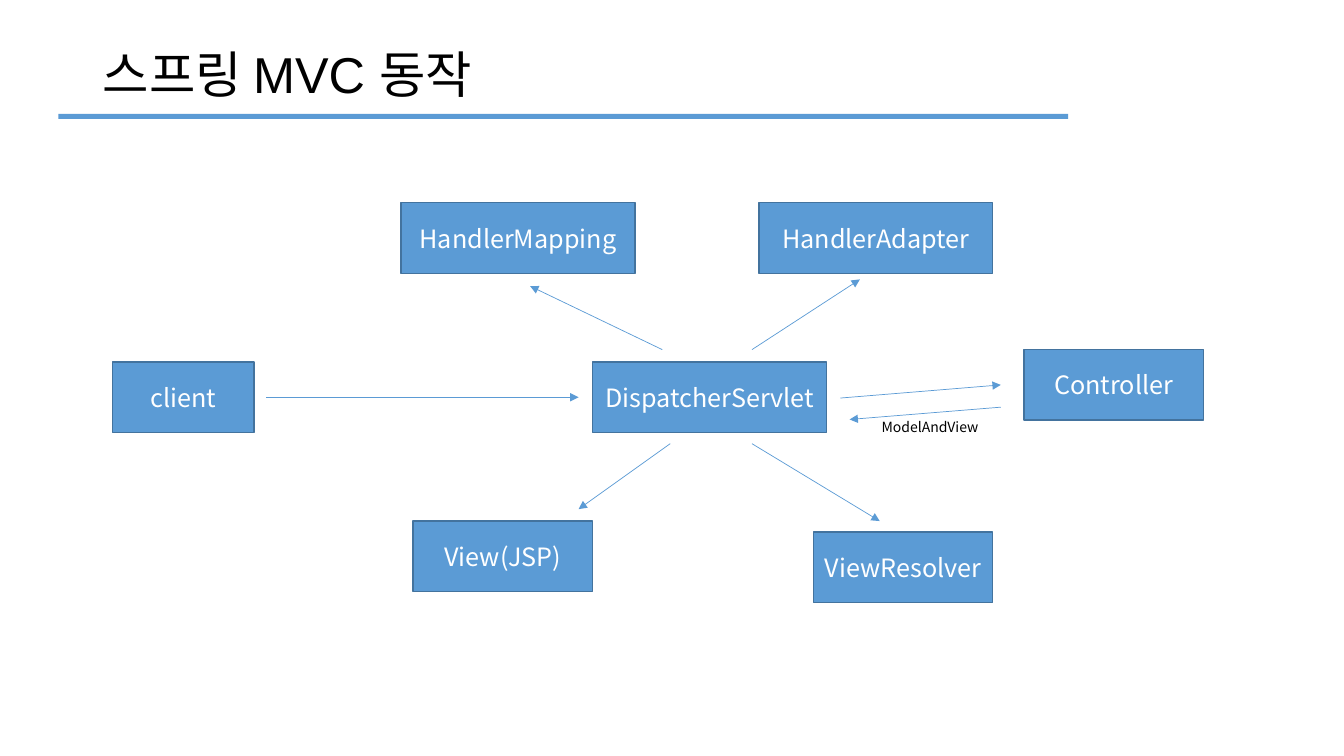
"""Draw the request flow of Spring MVC on one slide."""
from lxml.etree import SubElement
from pptx import Presentation
from pptx.dml.color import RGBColor
from pptx.enum.shapes import MSO_CONNECTOR, MSO_SHAPE
from pptx.enum.text import MSO_ANCHOR, PP_ALIGN
from pptx.oxml.ns import qn
from pptx.util import Cm, Pt

BLUE = RGBColor(0x5B, 0x9B, 0xD5)
NAVY = RGBColor(0x43, 0x73, 0x9E)
WHITE = RGBColor(0xFF, 0xFF, 0xFF)
BLACK = RGBColor(0x00, 0x00, 0x00)
SANS = "Noto Sans CJK KR"
HIGH = 1.78
SMALL, MID, WIDE = 3.56, 4.52, 5.89

BOXES = [
    ("client", 2.84, 9.12, SMALL),
    ("DispatcherServlet", 14.94, 9.12, WIDE),
    ("HandlerMapping", 10.11, 5.11, WIDE),
    ("HandlerAdapter", 19.13, 5.11, WIDE),
    ("Controller", 25.81, 8.81, MID),
    ("ViewResolver", 20.5, 13.41, MID),
    ("View(JSP)", 10.41, 13.13, MID),
]
ARROWS = [
    (6.71, 10.01, 14.58, 10.01),
    (16.69, 8.81, 13.36, 7.21),
    (18.95, 8.81, 21.67, 7.04),
    (21.18, 10.03, 25.22, 9.7),
    (18.95, 11.18, 22.17, 13.13),
    (16.89, 11.18, 14.58, 12.83),
    (25.22, 10.26, 21.41, 10.57),
]


class Flow:
    def __init__(self, slide):
        self.shapes = slide.shapes
        self.fill = BLUE
        self.edge = NAVY

    def words(self, frame, text, size, color, face=SANS):
        frame.text = text
        frame.word_wrap = True
        run = frame.paragraphs[0].runs[0]
        run.font.size, run.font.name = Pt(size), face
        run.font.color.rgb = color
        SubElement(run._r.get_or_add_rPr(), qn("a:ea")).set("typeface", SANS)

    def rect(self, left, top, width, height):
        shape = self.shapes.add_shape(
            MSO_SHAPE.RECTANGLE, Cm(left), Cm(top), Cm(width), Cm(height))
        shape.shadow.inherit = False
        shape.fill.solid()
        shape.fill.fore_color.rgb = self.fill
        return shape

    def bar(self, left, top, width, height):
        self.rect(left, top, width, height).line.fill.background()

    def box(self, text, left, top, width):
        shape = self.rect(left, top, width, HIGH)
        shape.line.color.rgb = self.edge
        shape.line.width = Pt(1)
        frame = shape.text_frame
        self.words(frame, text, 18, WHITE)
        frame.vertical_anchor = MSO_ANCHOR.MIDDLE
        frame.paragraphs[0].alignment = PP_ALIGN.CENTER

    def label(self, text, left, top, width, height, size, face=SANS):
        area = self.shapes.add_textbox(Cm(left), Cm(top), Cm(width), Cm(height))
        self.words(area.text_frame, text, size, BLACK, face)
        return area.text_frame

    def title(self, text):
        frame = self.label(text, 2.34, 1.02, 29.21, 1.85, 36, "Arial")
        frame.vertical_anchor = MSO_ANCHOR.MIDDLE
        frame.paragraphs[0].line_spacing = 0.9

    def arrow(self, *ends):
        link = self.shapes.add_connector(MSO_CONNECTOR.STRAIGHT, *map(Cm, ends))
        link.line.color.rgb = self.fill
        link.line.width = Pt(0.5)
        SubElement(link.line._get_or_add_ln(), qn("a:tailEnd")).set("type", "triangle")
        SubElement(link._element.spPr, qn("a:effectLst"))


def main():
    deck = Presentation()
    deck.slide_width, deck.slide_height = Cm(33.87), Cm(19.05)
    flow = Flow(deck.slides.add_slide(deck.slide_layouts[6]))
    flow.bar(1.47, 2.87, 25.45, 0.13)
    flow.title("스프링 MVC 동작")
    for box in BOXES:
        flow.box(*box)
    for ends in ARROWS:
        flow.arrow(*ends)
    flow.label("ModelAndView", 21.97, 10.41, 3.43, 0.69, 10)
    deck.save("out.pptx")


if __name__ == "__main__":
    main()
